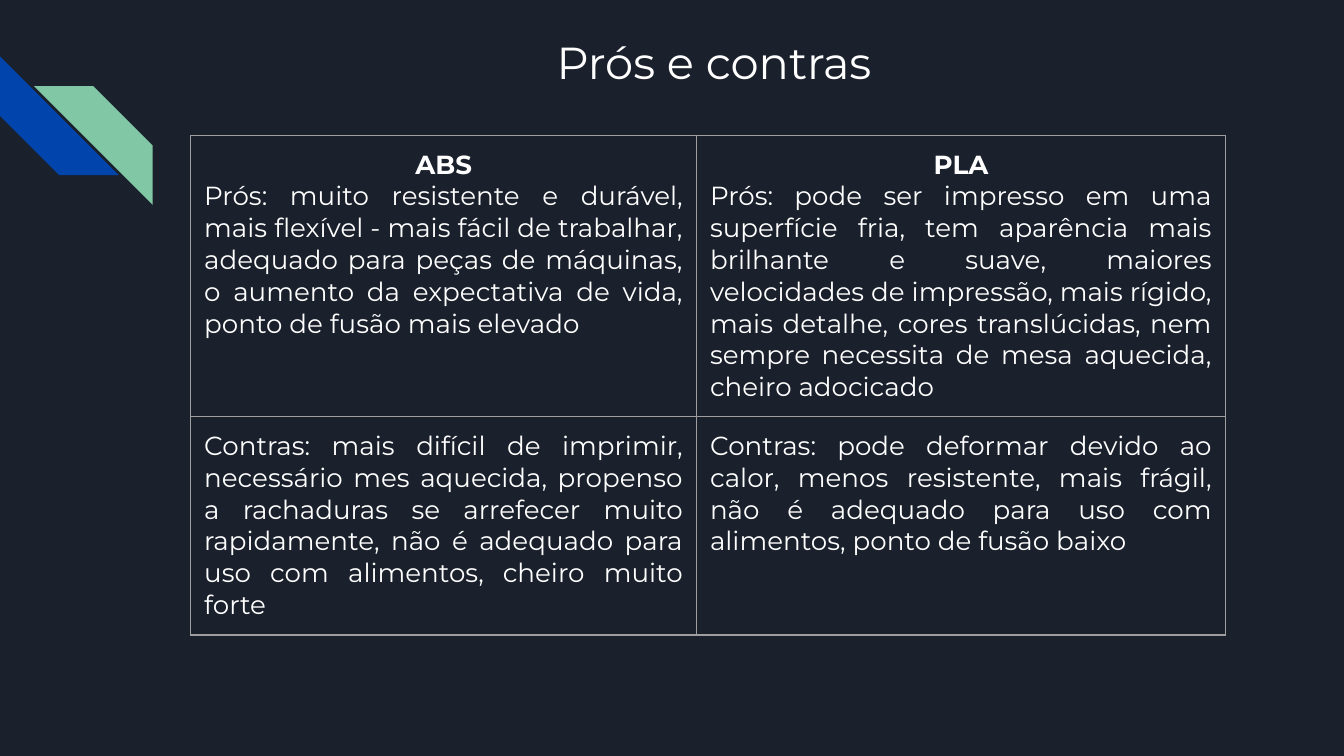
from lxml import etree
from pptx import Presentation
from pptx import util as u
from pptx.dml.color import RGBColor
from pptx.enum import shapes, text
from pptx.oxml import ns

COLORS = {"background": "1B212C", "blue": "0145AC", "green": "82C7A5",
          "text": "FFFFFF", "border": "9E9E9E"}
ALIGN = text.PP_ALIGN


def write(paragraph, content, size=14, bold=False, align=ALIGN.JUSTIFY):
    paragraph.alignment = align
    run = paragraph.add_run()
    run.text = content
    run.font.name = "Montserrat"
    run.font.size = u.Pt(size)
    run.font.bold = bold
    run.font.color.rgb = RGBColor.from_string(COLORS["text"])


def add_borders(cell, width=0.75):
    properties = cell._tc.get_or_add_tcPr()
    for index, side in enumerate(("lnL", "lnR", "lnT", "lnB")):
        line = etree.Element(ns.qn(f"a:{side}"), w=str(u.Pt(width)))
        fill = etree.SubElement(line, ns.qn("a:solidFill"))
        etree.SubElement(fill, ns.qn("a:srgbClr"), val=COLORS["border"])
        properties.insert(index, line)


presentation = Presentation()
presentation.slide_width = u.Pt(720)
presentation.slide_height = u.Pt(405)
slide = presentation.slides.add_slide(presentation.slide_layouts[5])
slide.background.fill.solid()
slide.background.fill.fore_color.rgb = RGBColor.from_string(COLORS["background"])

title = slide.shapes.title
title.left, title.top, title.width, title.height = map(u.Pt, (102.2, 11.5, 554.4, 72))
frame = title.text_frame
frame.word_wrap = True
frame.auto_size = text.MSO_AUTO_SIZE.NONE
frame.vertical_anchor = text.MSO_ANCHOR.TOP
frame.margin_left = frame.margin_right = frame.margin_top = frame.margin_bottom = u.Pt(7.2)
write(frame.paragraphs[0], " Prós e contras", size=24, align=ALIGN.CENTER)

for color, left, top, rotation in (("blue", 0, 30.2, 270), ("green", 18.2, 46.2, 90)):
    stripe = slide.shapes.add_shape(shapes.MSO_SHAPE.DIAGONAL_STRIPE,
                                    u.Pt(left), u.Pt(top), u.Pt(63.6), u.Pt(63.6))
    stripe.rotation = rotation
    stripe.adjustments[0] = 0.5
    stripe.shadow.inherit = False
    stripe.fill.solid()
    stripe.fill.fore_color.rgb = RGBColor.from_string(COLORS[color])
    stripe.line.fill.background()

materials = ["ABS", "PLA"]
comparison = [
    ["Prós: muito resistente e durável, mais flexível - mais fácil de trabalhar, "
     "adequado para peças de máquinas, o aumento da expectativa de vida, "
     "ponto de fusão mais elevado",
     "Prós: pode ser impresso em uma superfície fria, tem aparência mais brilhante "
     "e suave, maiores velocidades de impressão, mais rígido, mais detalhe, cores "
     "translúcidas, nem sempre necessita de mesa aquecida, cheiro adocicado"],
    ["Contras: mais difícil de imprimir, necessário mes aquecida, propenso a "
     "rachaduras se arrefecer muito rapidamente, não é adequado para uso com "
     "alimentos, cheiro muito forte",
     "Contras: pode deformar devido ao calor, menos resistente, mais frágil, não é "
     "adequado para uso com alimentos, ponto de fusão baixo"],
]
column_widths = [271, 283.4]
row_heights = [150.5, 117]
table = slide.shapes.add_table(2, 2, u.Pt(102.2), u.Pt(72.5), u.Pt(sum(column_widths)),
                               u.Pt(sum(row_heights))).table
table.first_row = table.horz_banding = False
for column, width in zip(table.columns, column_widths):
    column.width = u.Pt(width)
for row, height in zip(table.rows, row_heights):
    row.height = u.Pt(height)

for row_index, descriptions in enumerate(comparison):
    for column_index, description in enumerate(descriptions):
        cell = table.cell(row_index, column_index)
        cell.fill.background()
        cell.margin_left = cell.margin_right = cell.margin_top = cell.margin_bottom = u.Pt(7.2)
        add_borders(cell)
        paragraph = cell.text_frame.paragraphs[0]
        if row_index == 0:
            write(paragraph, materials[column_index], bold=True, align=ALIGN.CENTER)
            paragraph = cell.text_frame.add_paragraph()
        write(paragraph, description)

presentation.save("out.pptx")
